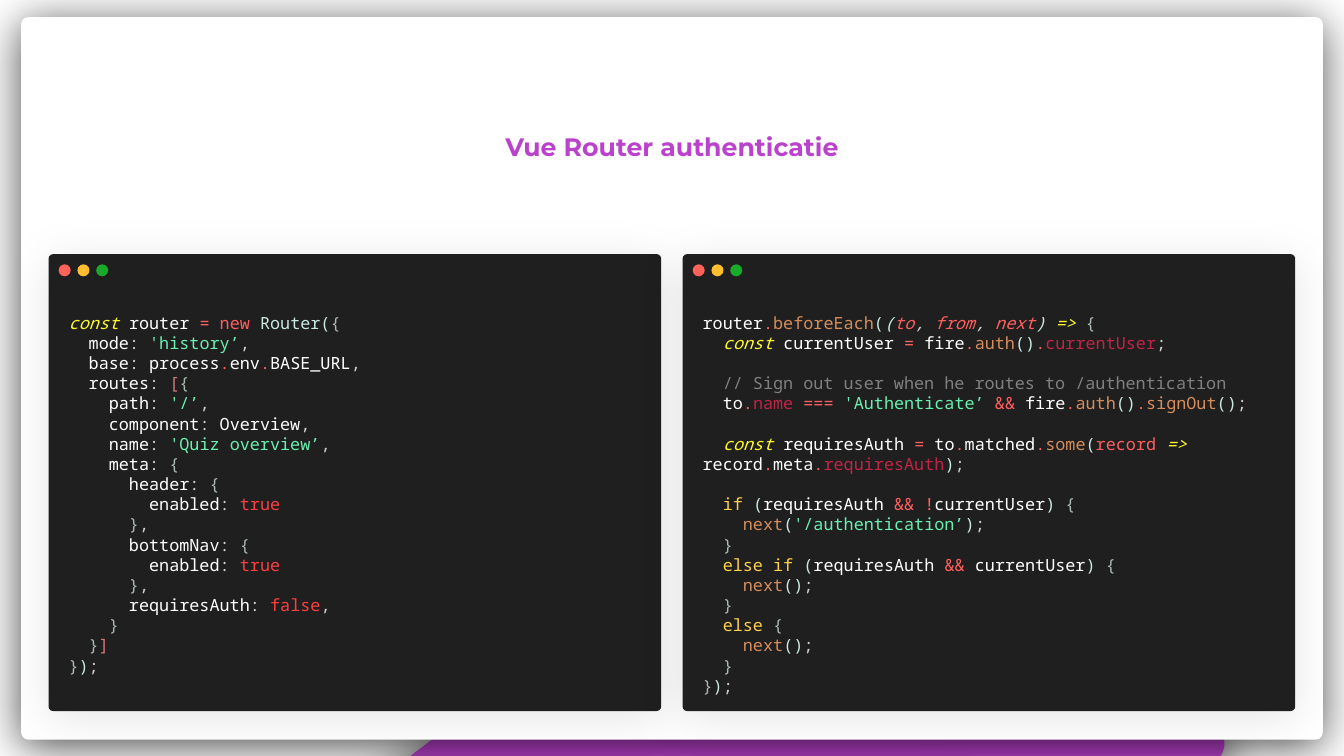
import pptx
import pptx.dml.color
import pptx.enum.shapes
import pptx.enum.text
import pptx.oxml
import pptx.oxml.ns
import pptx.util

Pt = pptx.util.Pt
SHAPES = pptx.enum.shapes.MSO_SHAPE
PURPLE = "BA42CC"
LINE_HEIGHT = 14.4

STYLES = {
    "k": ("FFFB2A", True),
    "w": ("FFFFFF", False),
    "o": ("FF5E5E", False),
    "a": ("FF5E5E", True),
    "r": ("C9E9E0", False),
    "R": ("C9E9E0", True),
    "b": ("A9B9B0", False),
    "p": ("D0D0D0", False),
    "P": ("D0D0D0", True),
    "s": ("69F0AE", False),
    "q": ("D77676", False),
    "t": ("FF3E3E", False),
    "f": ("D68D5B", False),
    "m": ("C02546", False),
    "c": ("808080", False),
    "i": ("FFD14A", False),
}

ROUTER_CODE = [[
    "kconst|w router |o= new |rRouter(|b{",
    "w  mode|p: |s'history’|p,",
    "w  base|p: |wprocess|o.|wenv|o.|wBASE_URL|p,",
    "w  routes|p: |q[|b{",
    "w    path|p: |s'/’|p,",
    "w    component|p:|w Overview|p,",
    "w    name|p: |s'Quiz overview’|p,",
    "w    meta|p: |b{",
    "w      header|p: |b{",
    "w        enabled|p: |ttrue",
    "b      }|p,",
    "w      bottomNav|p: |b{",
    "w        enabled|p: |ttrue",
    "b      }|p,",
    "w      requiresAuth|p: |tfalse|p,",
    "b    }",
    "b  }|q]",
    "b}|r)|p;",
]]

GUARD_CODE = [
    [
        "wrouter|o.|fbeforeEach|r(|R(|ato|P, |afrom|P, |anext|R) |k=> |b{",
        "k  const |wcurrentUser |o= |wfire|o.|fauth|r()|o.|mcurrentUser|p;",
    ],
    [
        "c  // Sign out user when he routes to /authentication",
        "w  to|o.|mname |o=== |s'Authenticate’ |o&& |wfire|o.|fauth|r()|o.|fsignOut|r()|p;",
    ],
    [
        "k  const |wrequiresAuth |o= |wto|o.|wmatched|o.|fsome|r(|orecord |k=> "
        "|wrecord|o.|wmeta|o.|mrequiresAuth|r)|p;",
    ],
    [
        "i  if |r(|wrequiresAuth |o&& !|wcurrentUser|r) |b{",
        "f    next|r(|s'/authentication’|r)|p;",
        "b  }",
        "i  else if |r(|wrequiresAuth |o&& |wcurrentUser|r) |b{",
        "f    next|r()|p;",
        "b  }",
        "i  else |b{",
        "f    next|r()|p;",
        "b  }",
        "b}|r)|p;",
    ],
]


def color(value):
    return pptx.dml.color.RGBColor.from_string(value)


def add_filled(shapes, kind, box, fill, radius=None, shadow_alpha=None):
    shape = shapes.add_shape(kind, *map(Pt, box))
    shape.fill.solid()
    shape.fill.fore_color.rgb = color(fill)
    shape.line.fill.background()
    shape.shadow.inherit = False
    if radius is not None:
        shape.adjustments[0] = radius
    if shadow_alpha is not None:
        effects = shape.element.spPr.find(pptx.oxml.ns.qn("a:effectLst"))
        effects.append(pptx.oxml.parse_xml(
            f'<a:outerShdw {pptx.oxml.ns.nsdecls("a")} blurRad="{Pt(33)}" dist="{Pt(5)}" '
            'dir="5400000" rotWithShape="0"><a:srgbClr val="000000">'
            f'<a:alpha val="{shadow_alpha * 1000}"/></a:srgbClr></a:outerShdw>'
        ))
    return shape


def add_span(para, text, font_name, size, value, bold=False, italic=False):
    span = para.add_run()
    span.text = text
    span.font.name = font_name
    span.font.size = Pt(size)
    span.font.bold = bold
    span.font.italic = italic
    span.font.color.rgb = color(value)


def add_backdrop(page, box):
    left, top, width, height = box
    panel = add_filled(page.shapes, SHAPES.ROUNDED_RECTANGLE,
                       (left + 253.4, top + 216.8, 349.2, 833), PURPLE, 0.044, 68)
    panel.rotation = 233
    add_filled(page.shapes, SHAPES.ROUNDED_RECTANGLE, box, "FFFFFF", 0.01, 68)


def add_code(shapes, box, blocks):
    frame = shapes.add_textbox(*map(Pt, box)).text_frame
    frame.word_wrap = True
    para = None
    for block in blocks:
        for index, line in enumerate(block):
            gap = index == 0 and para is not None
            para = frame.paragraphs[0] if para is None else frame.add_paragraph()
            para.line_spacing = Pt(LINE_HEIGHT)
            if gap:
                para.space_before = Pt(LINE_HEIGHT)
            for token in line.split("|"):
                value, italic = STYLES[token[0]]
                add_span(para, token[1:], "Noto Sans Mono", 12, value, italic=italic)


def add_window(page, box, code_width, code_height, blocks):
    left, top, width, height = box
    window = page.shapes.add_group_shape().shapes
    add_filled(window, SHAPES.ROUNDED_RECTANGLE, box, "201F20", 0.01, 10)
    for index, fill in enumerate(("FE6259", "FFBF2E", "1AAA29")):
        add_filled(window, SHAPES.OVAL, (left + 7.2 + index * 13.4, top + 7.3, 8.6, 8.6), fill)
    add_code(window, (left + 7.2, top + 38.2, code_width, code_height), blocks)


def add_title(page, box, text):
    title = page.shapes.title
    title.left, title.top, title.width, title.height = map(Pt, box)
    title.element.getparent().append(title.element)
    frame = title.text_frame
    frame.word_wrap = False
    frame.auto_size = pptx.enum.text.MSO_AUTO_SIZE.SHAPE_TO_FIT_TEXT
    frame.vertical_anchor = pptx.enum.text.MSO_ANCHOR.TOP
    para = frame.paragraphs[0]
    para.alignment = pptx.enum.text.PP_ALIGN.CENTER
    add_span(para, text, "Montserrat", 18, PURPLE, bold=True)


def main():
    deck = pptx.Presentation()
    deck.slide_width, deck.slide_height = Pt(960), Pt(540)
    page = deck.slides.add_slide(deck.slide_layouts[5])
    add_backdrop(page, (15.1, 12.2, 929.8, 516.2))
    add_window(page, (34.7, 181.5, 437.6, 326.4), 401, 283.7, ROUTER_CODE)
    add_window(page, (487.6, 181.5, 437.6, 326.4), 430.6, 298, GUARD_CODE)
    add_title(page, (352, 90, 256, 29), "Vue Router authenticatie")
    deck.save("out.pptx")


if __name__ == "__main__":
    main()
